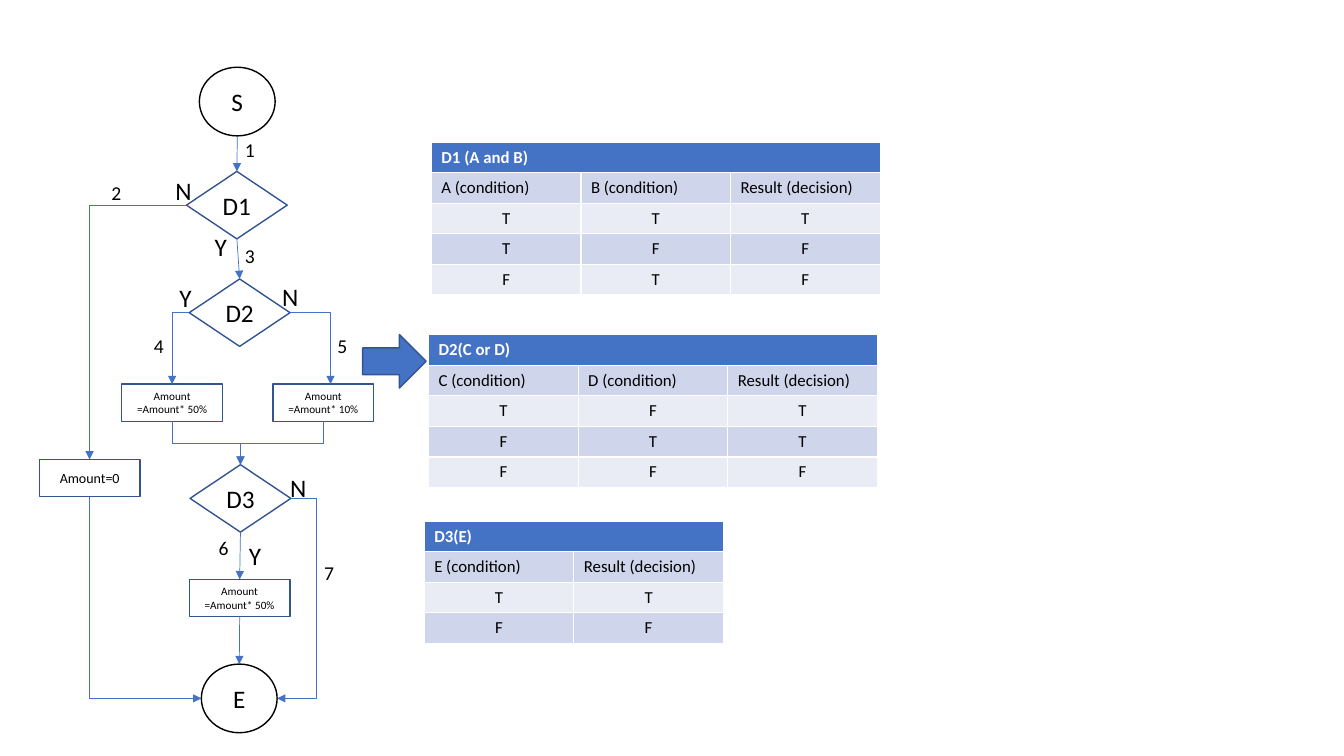
from lxml.etree import SubElement
from pptx import Presentation
from pptx.dml.color import RGBColor
from pptx.enum.shapes import MSO_CONNECTOR, MSO_SHAPE
from pptx.enum.text import MSO_ANCHOR, PP_ALIGN
from pptx.oxml.ns import qn
from pptx.util import Cm, Pt

BLUE, OUTLINE, BLACK, WHITE = "4472C4", "325491", "000000", "FFFFFF"
BANDS = ["CFD5EA", "E9EBF5"]
KINDS = {
    "terminal": (MSO_SHAPE.OVAL, 1.91, 1.73, BLACK),
    "decision": (MSO_SHAPE.FLOWCHART_DECISION, 2.54, 1.7, OUTLINE),
    "step": (MSO_SHAPE.RECTANGLE, 2.54, 0.94, OUTLINE),
}


def color(value):
    return RGBColor.from_string(value)


def write(frame, text, size, align=PP_ALIGN.LEFT, ink=BLACK, bold=False):
    paragraph = frame.paragraphs[0]
    paragraph.text = text
    paragraph.alignment = align
    font = paragraph.font
    font.name, font.size, font.bold = "Calibri", Pt(size), bold
    font.color.rgb = color(ink)


def add_outlined(slide, preset, left, top, width, height, outline):
    shape = slide.shapes.add_shape(preset, Cm(left), Cm(top), Cm(width), Cm(height))
    shape.shadow.inherit = False
    shape.fill.background()
    shape.line.color.rgb = color(outline)
    shape.line.width = Pt(1)
    return shape


def add_node(slide, kind, text, size, x, y):
    preset, width, height, outline = KINDS[kind]
    node = add_outlined(slide, preset, x - width / 2, y - height / 2, width, height, outline)
    node.text_frame.vertical_anchor = MSO_ANCHOR.MIDDLE
    write(node.text_frame, text, size, PP_ALIGN.CENTER)
    return {
        "top": (x, y - height / 2), "bottom": (x, y + height / 2),
        "left": (x - width / 2, y), "right": (x + width / 2, y),
    }


def add_arrow(slide, start, end, preset="line", downward=False, bend=None):
    (x1, y1), (x2, y2) = start, end
    if downward:
        middle_x, middle_y = (x1 + x2) / 2, (y1 + y2) / 2
        half_x, half_y = (y2 - y1) / 2, (x1 - x2) / 2
        x1, y1 = middle_x - half_x, middle_y - half_y
        x2, y2 = middle_x + half_x, middle_y + half_y
    route = MSO_CONNECTOR.STRAIGHT if preset == "line" else MSO_CONNECTOR.ELBOW
    arrow = slide.shapes.add_connector(route, Cm(x1), Cm(y1), Cm(x2), Cm(y2))
    arrow.line.color.rgb = color(BLUE)
    arrow.line.width = Pt(0.5)
    properties = arrow._element.spPr
    if downward:
        properties.find(qn("a:xfrm")).set("rot", "5400000")
    geometry = properties.find(qn("a:prstGeom"))
    geometry.set("prst", preset)
    if bend is not None:
        ratio = round(bend / (x2 - x1) * 100000)
        SubElement(geometry.find(qn("a:avLst")), qn("a:gd"), name="adj1", fmla=f"val {ratio}")
    SubElement(properties.find(qn("a:ln")), qn("a:tailEnd"), type="triangle")
    SubElement(properties, qn("a:effectLst"))


def add_label(slide, text, size, left, top):
    width, height = (0.76, 0.86) if size == 14 else (0.86, 1.02)
    label = slide.shapes.add_textbox(Cm(left), Cm(top), Cm(width), Cm(height))
    label.text_frame.word_wrap = False
    write(label.text_frame, text, size)


def add_flowchart(slide, left, top):
    def node(kind, text, size, x, y):
        return add_node(slide, kind, text, size, left + x, top + y)

    start = node("terminal", "S", 18, 4.99, 0.86)
    d1 = node("decision", "D1", 18, 4.98, 3.47)
    d2 = node("decision", "D2", 18, 5.05, 6.18)
    half = node("step", "Amount\v=Amount* 50%", 8, 3.35, 8.45)
    tenth = node("step", "Amount\v=Amount* 10%", 8, 7.16, 8.45)
    d3 = node("decision", "D3", 18, 5.07, 10.86)
    last_half = node("step", "Amount\v=Amount* 50%", 8, 5.05, 13.37)
    zero = node("step", "Amount=0", 10, 1.27, 10.35)
    end = node("terminal", "E", 18, 5.04, 15.9)

    for upper, lower in [(start, d1), (d1, d2), (d3, last_half), (last_half, end)]:
        add_arrow(slide, upper["bottom"], lower["top"])
    tenth_x, tenth_y = tenth["top"]
    add_arrow(slide, d1["left"], zero["top"], "bentConnector2")
    add_arrow(slide, d2["left"], half["top"], "bentConnector2")
    add_arrow(slide, d2["right"], (tenth_x + 0.18, tenth_y), "bentConnector2")
    for branch in (half, tenth):
        add_arrow(slide, branch["bottom"], d3["top"], "bentConnector3", downward=True)
    add_arrow(slide, d3["right"], end["right"], "bentConnector3", bend=0.64)
    add_arrow(slide, zero["bottom"], end["left"], "bentConnector2", downward=True)

    path_numbers = [(4.93, 1.65), (1.57, 2.74), (4.93, 4.32), (2.64, 6.6),
                    (7.26, 6.6), (4.27, 11.68), (6.93, 12.32)]
    for number, (x, y) in enumerate(path_numbers, 1):
        add_label(slide, str(number), 14, left + x, top + y)
    answers = [("Y", 4.17, 4.01), ("N", 3.18, 2.59), ("Y", 3.28, 5.28),
               ("N", 5.87, 5.26), ("Y", 5.03, 11.79), ("N", 6.07, 10.08)]
    for answer, x, y in answers:
        add_label(slide, answer, 18, left + x, top + y)


def add_truth_table(slide, left, top, title, conditions, outcomes):
    headings = [f"{name} (condition)" for name in conditions] + ["Result (decision)"]
    rows = [headings, *outcomes]
    columns = len(headings)
    table = slide.shapes.add_table(
        len(rows) + 1, columns, Cm(left), Cm(top),
        Cm(3.77 * columns), Cm(0.76 * (len(rows) + 1))).table
    title_cell = table.cell(0, 0)
    title_cell.merge(table.cell(0, columns - 1))
    title_cell.fill.solid()
    title_cell.fill.fore_color.rgb = color(BLUE)
    write(title_cell.text_frame, title, 12, ink=WHITE, bold=True)
    for row, texts in enumerate(rows):
        align = PP_ALIGN.CENTER if row else PP_ALIGN.LEFT
        for column, text in enumerate(texts):
            cell = table.cell(row + 1, column)
            cell.fill.solid()
            cell.fill.fore_color.rgb = color(BANDS[row % 2])
            write(cell.text_frame, text, 12, align)


def add_block_arrow(slide, left, top, width, height):
    block = add_outlined(slide, MSO_SHAPE.RIGHT_ARROW, left, top, width, height, OUTLINE)
    block.fill.solid()
    block.fill.fore_color.rgb = color(BLUE)


presentation = Presentation()
presentation.slide_width, presentation.slide_height = Cm(33.87), Cm(19.05)
slide = presentation.slides.add_slide(presentation.slide_layouts[6])
add_truth_table(slide, 10.87, 3.58, "D1 (A and B)", "AB", ["TTT", "TFF", "FTF"])
add_truth_table(slide, 10.8, 8.43, "D2(C or D)", "CD", ["TFT", "FTT", "FFF"])
add_truth_table(slide, 10.69, 13.13, "D3(E)", "E", ["TT", "FF"])
add_flowchart(slide, 0.99, 1.7)
add_block_arrow(slide, 9.14, 8.43, 1.6, 1.35)
presentation.save("out.pptx")
